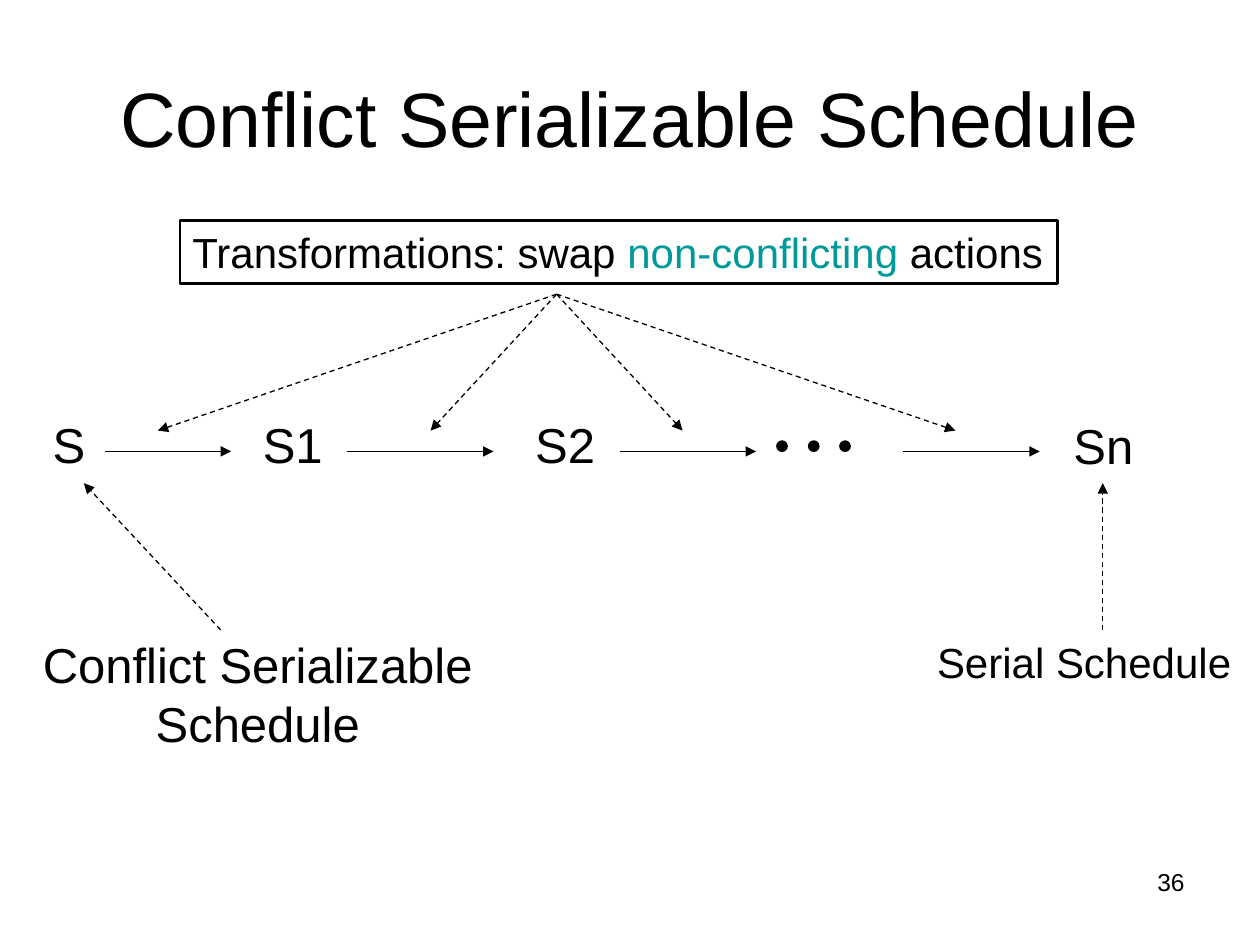
from lxml.etree import SubElement
from pptx import Presentation
from pptx.dml.color import RGBColor
from pptx.enum.dml import MSO_LINE as Dash
from pptx.enum.shapes import MSO_CONNECTOR as Link, MSO_SHAPE as Form
from pptx.enum.text import MSO_ANCHOR as Anchor, MSO_AUTO_SIZE as Fit, PP_ALIGN as Align
from pptx.oxml.ns import qn
from pptx.util import Cm, Pt

COLORS = {"ink": "000000", "teal": "009999"}
FONT = "Arial"

# Lengths in cm
TITLE = "Conflict Serializable Schedule"
RULE = [("Transformations: swap ", "ink"), ("non-conflicting", "teal"), (" actions", "ink")]
STATES = [
    ("S", 0.81, 8.23, 1.18),
    ("S1", 5.05, 8.23, 1.72),
    ("S2", 10.54, 8.23, 1.72),
    ("Sn", 21.39, 8.26, 1.72),
]
STEPS = [(2.12, 4.66), (6.99, 9.95), (12.5, 15.24), (18.2, 20.96)]
DOTS = [15.66, 16.3, 16.93]
NOTES = [
    ("Conflict Serializable\nSchedule", (0.61, 12.67, 9.17, 2.64), 28, Align.CENTER),
    ("Serial Schedule", (18.64, 12.7, 6.43, 1.27), 24, Align.LEFT),
]
POINTERS = [((4.45, 12.7), (1.69, 9.74)), ((22.23, 12.7), (22.23, 9.74))]
FAN = (11.22, 5.93)
FAN_ENDS = [3.18, 8.68, 13.76, 19.26]
STEP_Y, DOT_Y, FAN_Y = 9.1, 8.89, 8.68
DOT = 0.21


def color(name):
    return RGBColor.from_string(COLORS[name])


def style(run, size, ink="ink"):
    for key, value in {"name": FONT, "size": Pt(size)}.items():
        setattr(run.font, key, value)
    run.font.color.rgb = color(ink)


def hug(frame):
    """Let the shape grow with its unwrapped text."""
    frame.word_wrap = False
    frame.auto_size = Fit.SHAPE_TO_FIT_TEXT


def label(slide, text, box, size, align=Align.LEFT):
    frame = slide.shapes.add_textbox(*map(Cm, box)).text_frame
    para = frame.paragraphs[0]
    para.text, para.alignment = text, align
    for run in para.runs:
        style(run, size)
    return frame


def arrow(slide, start, end, dashed=False):
    link = slide.shapes.add_connector(Link.STRAIGHT, *map(Cm, start + end))
    link.line.color.rgb = color("ink")
    link.line.width = Pt(0.75)
    if dashed:
        link.line.dash_style = Dash.DASH
    SubElement(link.line._get_or_add_ln(), qn("a:tailEnd"), type="triangle")
    SubElement(link._element.spPr, qn("a:effectLst"))


def shape(slide, form, box, width):
    item = slide.shapes.add_shape(form, *map(Cm, box))
    item.shadow.inherit = False
    item.line.color.rgb = color("ink")
    item.line.width = Pt(width)
    return item


def add_title(slide):
    title = slide.shapes.title
    sides = {"left": 1.27, "top": 0.76, "width": 22.86, "height": 3.18}
    for side, value in sides.items():
        setattr(title, side, Cm(value))
    frame = title.text_frame
    frame.text = TITLE
    frame.vertical_anchor = Anchor.MIDDLE
    frame.paragraphs[0].alignment = Align.CENTER
    style(frame.paragraphs[0].runs[0], 44)


def add_rule(slide):
    box = shape(slide, Form.RECTANGLE, (3.63, 4.45, 17.69, 1.27), 1.5)
    box.fill.background()
    frame = box.text_frame
    hug(frame)
    frame.vertical_anchor = Anchor.TOP
    para = frame.paragraphs[0]
    para.alignment = Align.LEFT
    for text, ink in RULE:
        run = para.add_run()
        run.text = text
        style(run, 24, ink)


def main():
    deck = Presentation()
    deck.slide_width, deck.slide_height = Cm(25.4), Cm(19.05)
    slide = deck.slides.add_slide(deck.slide_layouts[5])
    add_title(slide)
    number = label(slide, "36", (18.2, 17.35, 5.93, 1.32), 14, Align.RIGHT)
    number.word_wrap = True

    for text, left, top, width in STATES:
        hug(label(slide, text, (left, top, width, 1.45), 28))
    for start, end in STEPS:
        arrow(slide, (start, STEP_Y), (end, STEP_Y))
    for left in DOTS:
        dot = shape(slide, Form.OVAL, (left, DOT_Y, DOT, DOT), 0.75)
        dot.fill.solid()
        dot.fill.fore_color.rgb = color("ink")

    for note in NOTES:
        hug(label(slide, *note))
    add_rule(slide)
    for start, end in POINTERS + [(FAN, (x, FAN_Y)) for x in FAN_ENDS]:
        arrow(slide, start, end, dashed=True)
    deck.save("out.pptx")


if __name__ == "__main__":
    main()
